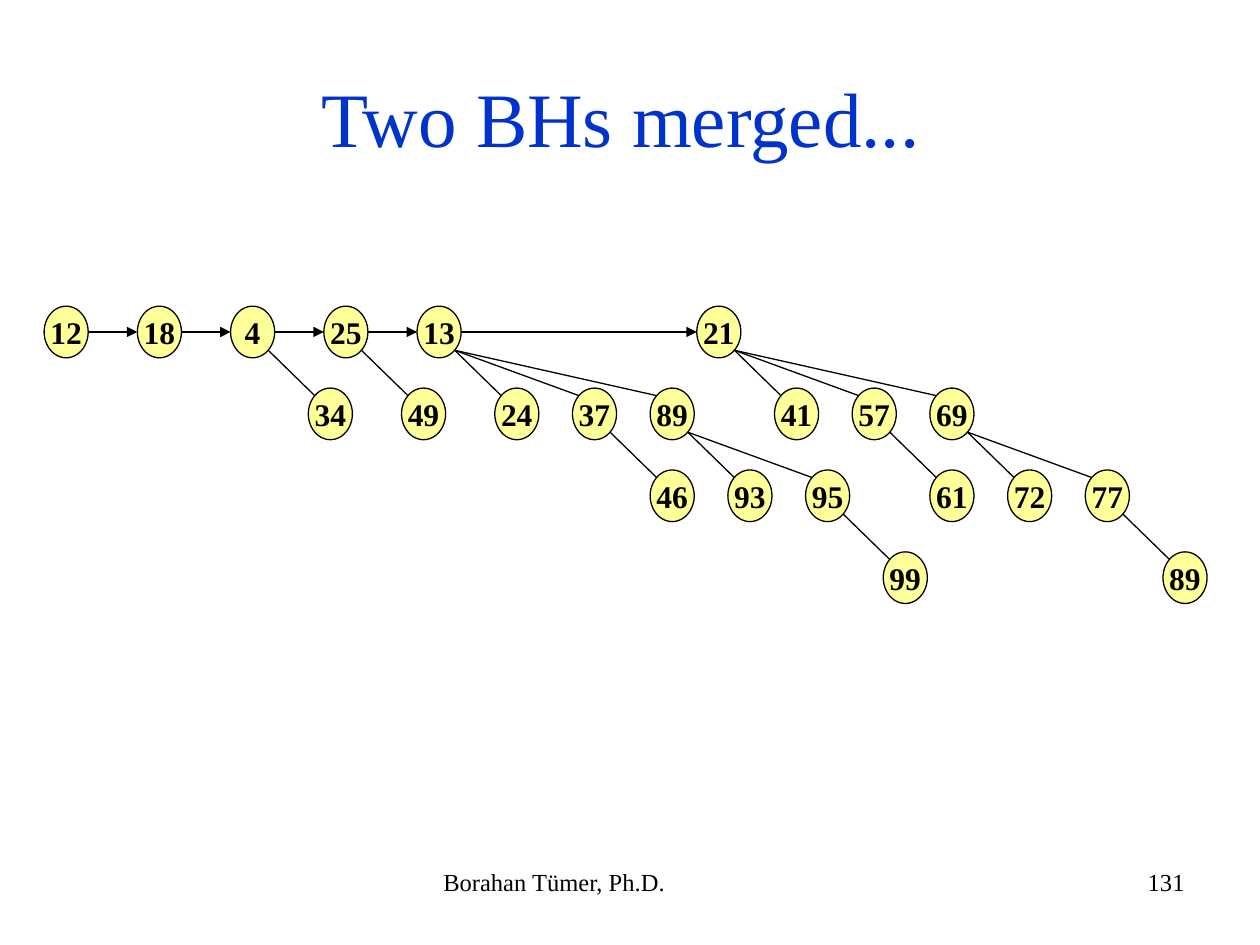
from dataclasses import dataclass

from lxml.etree import SubElement
from math import sqrt
from pptx import Presentation
from pptx.dml.color import RGBColor
from pptx.enum.shapes import MSO_CONNECTOR, MSO_SHAPE
from pptx.enum.text import MSO_ANCHOR, PP_ALIGN
from pptx.oxml.ns import qn
from pptx.util import Inches, Pt


@dataclass(frozen=True)
class Theme:
    font: str = "Times New Roman"
    ink: RGBColor = RGBColor(0x00, 0x00, 0x00)
    title_color: RGBColor = RGBColor(0x00, 0x33, 0xCC)
    node_fill: RGBColor = RGBColor(0xFF, 0xFF, 0x99)
    title_size: int = 44
    node_size: int = 18
    footer_size: int = 14
    line_width: float = 0.75


# Grid of the heap, in inches
LEFT, TOP = 0.35, 2.43
ROOT_STEP = 0.74
COLUMN = ROOT_STEP * 5 / 6
ROW = 0.65
NODE_WIDTH, NODE_HEIGHT = 0.35, 0.41

# Each tree is (key, children); each root comes with its slot in the root list
ROOTS = [
    (0, ("12", [])),
    (1, ("18", [])),
    (2, ("4", [("34", [])])),
    (3, ("25", [("49", [])])),
    (4, ("13", [
        ("24", []),
        ("37", [("46", [])]),
        ("89", [("93", []), ("95", [("99", [])])]),
    ])),
    (7, ("21", [
        ("41", []),
        ("57", [("61", [])]),
        ("69", [("72", []), ("77", [("89", [])])]),
    ])),
]


class HeapSlide:
    def __init__(self, presentation, theme):
        self.theme = theme
        self.slide = presentation.slides.add_slide(presentation.slide_layouts[5])

    def format_text(self, text_frame, text, size, color, alignment, bold=False):
        text_frame.text = text
        paragraph = text_frame.paragraphs[0]
        paragraph.alignment = alignment
        font = paragraph.runs[0].font
        font.name, font.size, font.bold = self.theme.font, Pt(size), bold
        font.color.rgb = color

    def title(self, text):
        shape = self.slide.shapes.title
        shape.left, shape.top = Inches(0.5), Inches(0.3)
        shape.width, shape.height = Inches(9), Inches(1.25)
        shape.text_frame.vertical_anchor = MSO_ANCHOR.MIDDLE
        shape.text_frame.margin_right = Inches(0.25)
        self.format_text(shape.text_frame, text, self.theme.title_size,
                         self.theme.title_color, PP_ALIGN.CENTER)

    def footer(self, text, left, width, alignment):
        shape = self.slide.shapes.add_textbox(
            Inches(left), Inches(6.83), Inches(width), Inches(0.52))
        shape.text_frame.word_wrap = True
        self.format_text(shape.text_frame, text, self.theme.footer_size,
                         self.theme.ink, alignment)

    def node(self, key, x, y):
        shape = self.slide.shapes.add_shape(
            MSO_SHAPE.OVAL, Inches(x), Inches(y), Inches(NODE_WIDTH), Inches(NODE_HEIGHT))
        shape.shadow.inherit = False
        shape.fill.solid()
        shape.fill.fore_color.rgb = self.theme.node_fill
        shape.line.color.rgb = self.theme.ink
        shape.line.width = Pt(self.theme.line_width)
        shape.text_frame.word_wrap = False
        shape.text_frame.vertical_anchor = MSO_ANCHOR.MIDDLE
        self.format_text(shape.text_frame, key, self.theme.node_size,
                         self.theme.ink, PP_ALIGN.CENTER, bold=True)

    def line(self, start, end, arrow=False):
        connector = self.slide.shapes.add_connector(
            MSO_CONNECTOR.STRAIGHT, *(Inches(value) for value in (*start, *end)))
        connector.line.color.rgb = self.theme.ink
        connector.line.width = Pt(self.theme.line_width)
        if arrow:
            SubElement(connector.line._get_or_add_ln(), qn("a:tailEnd"), type="triangle")
        SubElement(connector._element.spPr, qn("a:effectLst"))

    def tree(self, tree, x, y):
        """Draw a tree whose k-th child stands k columns right and one row down."""
        key, children = tree
        self.node(key, x, y)
        for position, child in enumerate(children, start=1):
            child_x, child_y = x + position * COLUMN, y + ROW
            self.line(rim_point(x, y, 1), rim_point(child_x, child_y, -1))
            self.tree(child, child_x, child_y)

    def root_list(self, roots):
        middle = TOP + NODE_HEIGHT / 2
        previous_right = None
        for slot, tree in roots:
            x = LEFT + slot * ROOT_STEP
            self.tree(tree, x, TOP)
            if previous_right is not None:
                self.line((previous_right, middle), (x, middle), arrow=True)
            previous_right = x + NODE_WIDTH


def rim_point(x, y, direction):
    """Point of a node's rim: lower right for direction 1, upper left for -1."""
    share = (1 + direction / sqrt(2)) / 2
    return x + NODE_WIDTH * share, y + NODE_HEIGHT * share


def main():
    presentation = Presentation()
    presentation.slide_width, presentation.slide_height = Inches(10), Inches(7.5)
    heap_slide = HeapSlide(presentation, Theme())
    heap_slide.title("Two BHs merged...")
    heap_slide.root_list(ROOTS)
    heap_slide.footer("Borahan Tümer, Ph.D.", 3.42, 3.17, PP_ALIGN.LEFT)
    heap_slide.footer("131", 7.17, 2.33, PP_ALIGN.RIGHT)
    presentation.save("out.pptx")


if __name__ == "__main__":
    main()
